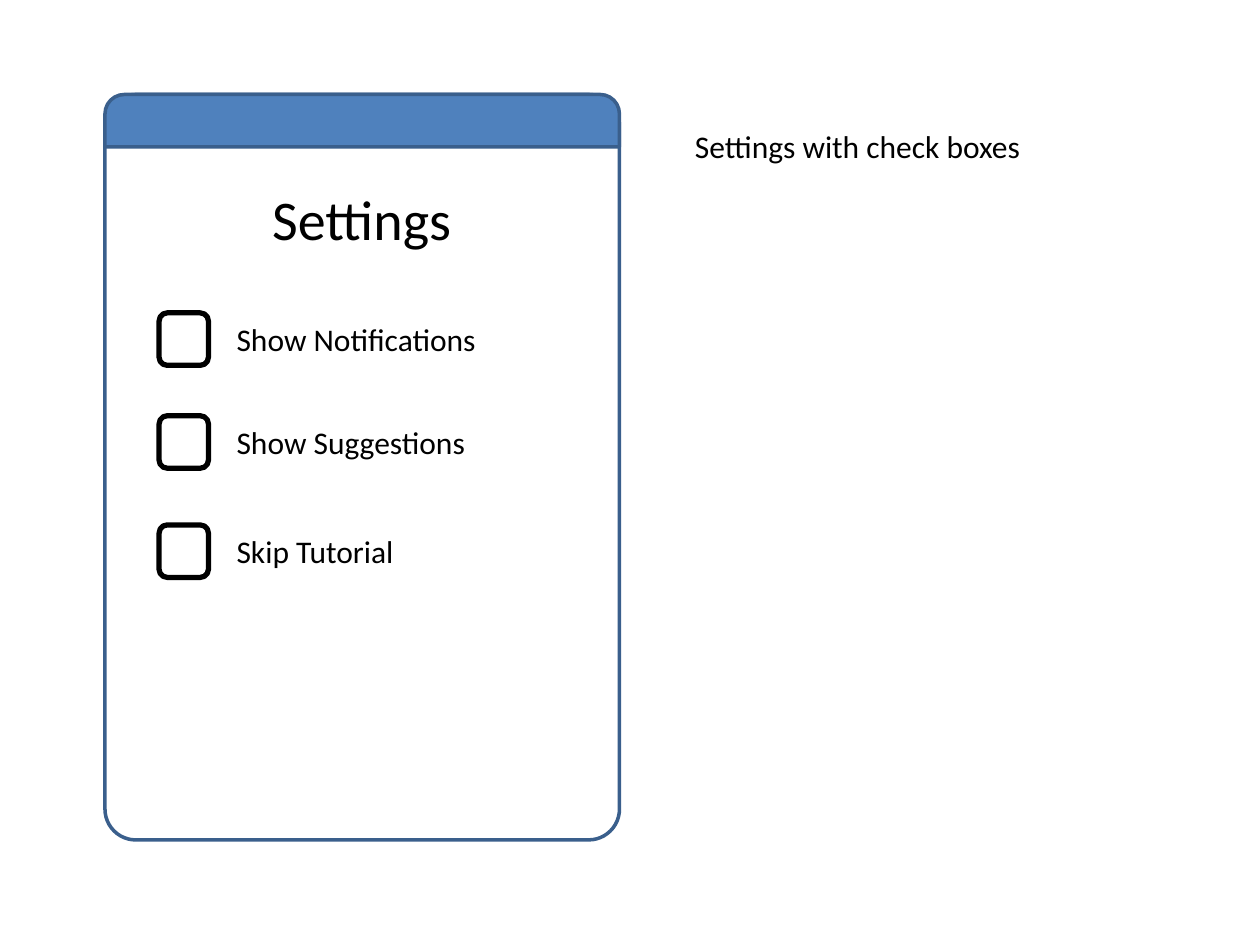
from dataclasses import dataclass

from pptx import Presentation
from pptx.dml.color import RGBColor
from pptx.enum.shapes import MSO_SHAPE
from pptx.enum.text import MSO_ANCHOR, MSO_AUTO_SIZE, PP_ALIGN
from pptx.util import Inches, Pt


@dataclass(frozen=True)
class Theme:
    font: str = "Calibri"
    ink: RGBColor = RGBColor(0x00, 0x00, 0x00)
    accent: RGBColor = RGBColor(0x4F, 0x81, 0xBD)
    border: RGBColor = RGBColor(0x3A, 0x5F, 0x8C)
    title_size: int = 32
    body_size: int = 18
    border_width: int = 2
    box_width: int = 3


class Mockup:
    COLS, ROWS = 24, 18

    def __init__(self, prs, theme):
        self.theme = theme
        self.s = prs.slides.add_slide(prs.slide_layouts[5])
        self.col = prs.slide_width / self.COLS
        self.row = prs.slide_height / self.ROWS

    def place(self, x, y, w, h):
        return (int(x * self.col), int(y * self.row),
                int(w * self.col), int(h * self.row))

    def set_text(self, sp, text, size, align):
        tf = sp.text_frame
        frame = {"word_wrap": True, "vertical_anchor": MSO_ANCHOR.TOP,
                 "auto_size": MSO_AUTO_SIZE.SHAPE_TO_FIT_TEXT}
        for name, value in frame.items():
            setattr(tf, name, value)
        p = tf.paragraphs[0]
        p.alignment = align
        r = p.add_run()
        r.text = text
        for name, value in {"name": self.theme.font, "size": Pt(size)}.items():
            setattr(r.font, name, value)
        r.font.color.rgb = self.theme.ink

    def title(self, text, *cell):
        sp = self.s.shapes.title
        box = zip(("left", "top", "width", "height"), self.place(*cell))
        for name, value in box:
            setattr(sp, name, value)
        self.set_text(sp, text, self.theme.title_size, PP_ALIGN.CENTER)

    def label(self, text, *cell):
        sp = self.s.shapes.add_textbox(*self.place(*cell))
        self.set_text(sp, text, self.theme.body_size, PP_ALIGN.LEFT)

    def panel(self, kind, cell, line, width, fill=None, corners=()):
        sp = self.s.shapes.add_shape(kind, *self.place(*cell))
        sp.shadow.inherit = False
        for i, value in enumerate(corners):
            sp.adjustments[i] = value
        if fill is None:
            sp.fill.background()
        else:
            sp.fill.solid()
            sp.fill.fore_color.rgb = fill
        sp.line.color.rgb = line
        sp.line.width = Pt(width)

    def screen(self, x, y, w, h):
        t = self.theme
        self.panel(MSO_SHAPE.ROUNDED_RECTANGLE, (x, y, w, h),
                   t.border, t.border_width, corners=(0.06,))
        self.panel(MSO_SHAPE.ROUND_2_SAME_RECTANGLE, (x, y, w, 1),
                   t.border, t.border_width, t.accent, (0.37, 0))

    def option(self, text, y):
        t = self.theme
        self.panel(MSO_SHAPE.ROUNDED_RECTANGLE, (3.03, y, 0.94, 1),
                   t.ink, t.box_width)
        self.label(text, 4.27, y + 0.02, 6.6, 0.96)


def main():
    prs = Presentation()
    prs.slide_width, prs.slide_height = Inches(10), Inches(7.5)
    page = Mockup(prs, Theme())
    page.screen(2, 1.8, 9.8, 14.2)
    page.title("Settings", 3.6, 3.4, 6.58, 1.54)
    options = {"Show Notifications": 5.96, "Show Suggestions": 7.92,
               "Skip Tutorial": 10}
    for text, y in options.items():
        page.option(text, y)
    page.label("Settings with check boxes", 13, 2.3, 7.8, 0.96)
    prs.save("out.pptx")


if __name__ == "__main__":
    main()
